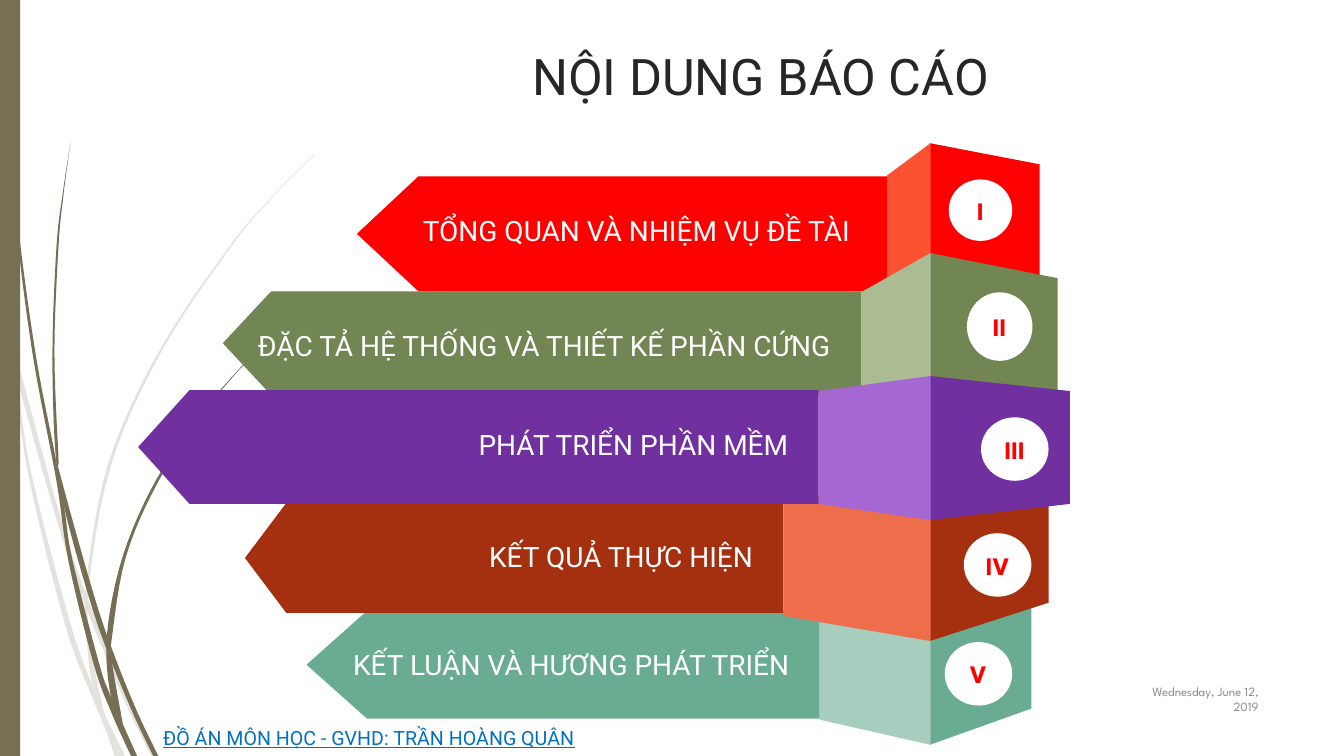
from dataclasses import dataclass

from pptx import Presentation
from pptx import util as u
from pptx.dml.color import RGBColor
from pptx.enum import shapes, text

PX = 9144
SPINE_X = 922
CURVE_STEPS = 6

OLIVE = RGBColor(0x76, 0x6F, 0x54)
PALE_OLIVE = RGBColor(0xE4, 0xE2, 0xDD)
WHITE = RGBColor(0xFF, 0xFF, 0xFF)
INK = RGBColor(0x26, 0x26, 0x26)
GREY = RGBColor(0x8C, 0x8C, 0x8C)
LINK_BLUE = RGBColor(0x00, 0x70, 0xC0)
RED = RGBColor(0xFF, 0x00, 0x00)
CORAL = RGBColor(0xFB, 0x53, 0x31)
MOSS = RGBColor(0x72, 0x86, 0x53)
PALE_MOSS = RGBColor(0xAC, 0xBC, 0x92)
PURPLE = RGBColor(0x70, 0x30, 0xA0)
LILAC = RGBColor(0xA5, 0x68, 0xD2)
RUST = RGBColor(0xA5, 0x30, 0x10)
SALMON = RGBColor(0xEE, 0x6E, 0x4B)
TEAL = RGBColor(0x6A, 0xAC, 0x91)
PALE_TEAL = RGBColor(0xA6, 0xCD, 0xBD)

TITLE_FONT = {"name": "Roboto", "size": u.Pt(36)}
RIBBON_FONT = {"name": "Roboto", "size": u.Pt(20)}
NUMERAL_FONT = {"name": "League Spartan", "size": u.Pt(18), "bold": True}
DATE_FONT = {"name": "League Spartan", "size": u.Pt(9)}
FOOTER_FONT = {"name": "Roboto", "size": u.Pt(14), "underline": True}

TOP_FRAME = {"word_wrap": True, "vertical_anchor": text.MSO_ANCHOR.TOP}
MIDDLE_FRAME = {"word_wrap": True, "vertical_anchor": text.MSO_ANCHOR.MIDDLE}
RIBBON_FRAME = {**TOP_FRAME, "margin_left": 0, "margin_top": 20 * PX,
                "margin_right": 30 * PX, "margin_bottom": 0}
NUMERAL_FRAME = {**MIDDLE_FRAME, "margin_left": 0, "margin_top": 0,
                 "margin_right": 0, "margin_bottom": 0}

LEFT = {"alignment": text.PP_ALIGN.LEFT}
CENTER = {"alignment": text.PP_ALIGN.CENTER}
RIGHT = {"alignment": text.PP_ALIGN.RIGHT}
RIBBON_PARAGRAPH = {**RIGHT, "line_spacing": 1.5}

STRANDS = [
    (PALE_OLIVE,
     [(0, 299), (10, 344), (17, 376), (58, 522), (84, 599), (123, 694), (150, 750)],
     [(0, 282), (9, 322), (14, 345), (62, 520), (92, 607), (127, 692), (155, 750)]),
    (PALE_OLIVE,
     [(11, 350), (28, 470), (65, 621), (92, 693), (101, 714), (114, 750)],
     [(17, 376), (31, 469), (70, 619), (93, 683), (105, 711), (124, 750)]),
    (PALE_OLIVE,
     [(312, 153), (289, 175), (268, 197), (228, 244), (158, 348), (107, 461),
      (85, 584), (87, 646), (93, 683), (105, 711)],
     [(312, 154), (290, 175), (268, 198), (229, 245), (160, 349), (110, 462),
      (88, 584), (91, 646), (103, 706), (105, 711)]),
    (OLIVE,
     [(3, 0), (4, 48), (7, 110), (17, 233), (33, 355), (56, 477), (68, 557),
      (93, 659), (111, 708), (130, 750)],
     [(4, 0), (5, 48), (8, 109), (19, 232), (36, 355), (55, 453), (64, 505),
      (72, 556), (98, 657), (110, 691), (136, 750)]),
    (OLIVE,
     [(70, 141), (62, 193), (56, 245), (52, 349), (55, 449), (64, 505),
      (88, 592), (106, 645), (132, 708), (152, 750)],
     [(70, 141), (63, 193), (58, 245), (54, 349), (58, 453), (60, 472),
      (93, 590), (113, 649), (136, 706), (157, 750)]),
    (OLIVE,
     [(260, 344), (245, 358), (231, 373), (204, 405), (156, 474), (122, 551),
      (106, 631), (110, 691), (122, 719)],
     [(261, 344), (245, 359), (231, 374), (205, 406), (158, 476), (125, 552),
      (111, 633), (111, 656), (122, 719)]),
]


@dataclass
class Chapter:
    """One ribbon: arrow (tip, shoulder, end, top, bottom), fold, side and disc."""
    numeral: str
    heading: str
    color: RGBColor
    fold_color: RGBColor
    arrow: tuple
    spine: tuple
    fold: tuple
    side: tuple
    disc: tuple


CHAPTERS = [
    Chapter("V", "KẾT LUẬN VÀ HƯƠNG PHÁT TRIỂN", TEAL, PALE_TEAL,
            (304, 364, 813, 606, 713), (553, 739), (568, 714),
            (1023, 568, 703), (937, 637, 67, 63)),
    Chapter("IV", "KẾT QUẢ THỰC HIỆN", RUST, SALMON,
            (243, 284, 777, 499, 608), (482, 636), (495, 611),
            (1040, 497, 598), (956, 529, 67, 63)),
    Chapter("I", "TỔNG QUAN VÀ NHIỆM VỤ ĐỀ TÀI ", RED, CORAL,
            (354, 415, 880, 175, 289), (142, 303), (174, 291),
            (1031, 163, 290), (941, 178, 63, 61)),
    Chapter("II", "ĐẶC TẢ HỆ THỐNG VÀ THIẾT KẾ PHẦN CỨNG", MOSS, PALE_MOSS,
            (221, 269, 854, 289, 392), (251, 405), (290, 391),
            (1049, 276, 391), (959, 290, 65, 68)),
    Chapter("III", "PHÁT TRIỂN PHẦN MỀM", PURPLE, LILAC,
            (137, 188, 812, 387, 500), (373, 516), (388, 500),
            (1061, 388, 500), (973, 414, 67, 63)),
]


def set_format(target, formats):
    for key, value in formats.items():
        setattr(target, key, value)


def paint(shape, color):
    shape.shadow.inherit = False
    shape.fill.solid()
    shape.fill.fore_color.rgb = color
    shape.line.fill.background()
    return shape


def write(shape, words, font, color, frame, paragraph):
    set_format(shape.text_frame, frame)
    line = shape.text_frame.paragraphs[0]
    set_format(line, paragraph)
    run = line.add_run()
    run.text = words
    set_format(run.font, font)
    run.font.color.rgb = color


def add_outline(slide, points, color):
    corners = [(x * PX, y * PX) for x, y in points]
    builder = slide.shapes.build_freeform(*corners[0], scale=1.0)
    builder.add_line_segments(corners[1:], close=True)
    return paint(builder.convert_to_shape(), color)


def add_preset(slide, kind, box, color):
    return paint(slide.shapes.add_shape(kind, *(v * PX for v in box)), color)


def add_label(slide, box, *wording):
    write(slide.shapes.add_textbox(*(v * PX for v in box)), *wording)


def smooth(edge):
    padded = [edge[0], *edge, edge[-1]]
    curve = []
    for a, b, c, d in zip(padded, padded[1:], padded[2:], padded[3:]):
        for step in range(CURVE_STEPS):
            t = step / CURVE_STEPS
            curve.append(tuple(
                q + t / 2 * (r - p + t * (2 * p - 5 * q + 4 * r - s
                                          + t * (3 * (q - r) + s - p)))
                for p, q, r, s in zip(a, b, c, d)))
    return curve + [edge[-1]]


def add_strand(slide, color, left_edge, right_edge):
    add_outline(slide, smooth(left_edge) + smooth(right_edge)[::-1], color)


def add_ribbon(slide, chapter):
    tip, shoulder, end, top, bottom = chapter.arrow
    spine_top, spine_bottom = chapter.spine
    fold_top, fold_bottom = chapter.fold
    side_x, side_top, side_bottom = chapter.side
    arrow = add_outline(slide, [(shoulder, top), (end, top), (end, bottom),
                                (shoulder, bottom), (tip, (top + bottom) / 2)],
                        chapter.color)
    write(arrow, chapter.heading, RIBBON_FONT, WHITE, RIBBON_FRAME, RIBBON_PARAGRAPH)
    add_outline(slide, [(SPINE_X, spine_top), (side_x, side_top),
                        (side_x, side_bottom), (SPINE_X, spine_bottom)], chapter.color)
    add_outline(slide, [(SPINE_X + 1, spine_top), (end, fold_top),
                        (end, fold_bottom), (SPINE_X + 1, spine_bottom)],
                chapter.fold_color)


def add_disc(slide, chapter):
    disc = add_preset(slide, shapes.MSO_SHAPE.FLOWCHART_CONNECTOR, chapter.disc, WHITE)
    write(disc, chapter.numeral, NUMERAL_FONT, RED, NUMERAL_FRAME, CENTER)


def add_title(slide, words):
    title = slide.shapes.title
    set_format(title, {"left": 267 * PX, "top": 40 * PX,
                       "width": 975 * PX, "height": 140 * PX})
    write(title, words, TITLE_FONT, INK, TOP_FRAME, CENTER)


def main():
    deck = Presentation()
    set_format(deck, {"slide_width": 1333 * PX, "slide_height": 750 * PX})
    slide = deck.slides.add_slide(deck.slide_layouts[5])
    for strand in STRANDS:
        add_strand(slide, *strand)
    add_preset(slide, shapes.MSO_SHAPE.RECTANGLE, (0, 0, 20, 750), OLIVE)
    add_title(slide, "NỘI DUNG BÁO CÁO")
    add_label(slide, (1133, 673, 125, 41), "Wednesday, June 12, 2019",
              DATE_FONT, GREY, MIDDLE_FRAME, RIGHT)
    for chapter in CHAPTERS:
        add_ribbon(slide, chapter)
    for chapter in CHAPTERS:
        add_disc(slide, chapter)
    add_label(slide, (152, 715, 833, 40), "ĐỒ ÁN MÔN HỌC - GVHD: TRẦN HOÀNG QUÂN",
              FOOTER_FONT, LINK_BLUE, TOP_FRAME, LEFT)
    deck.save("out.pptx")


if __name__ == "__main__":
    main()
